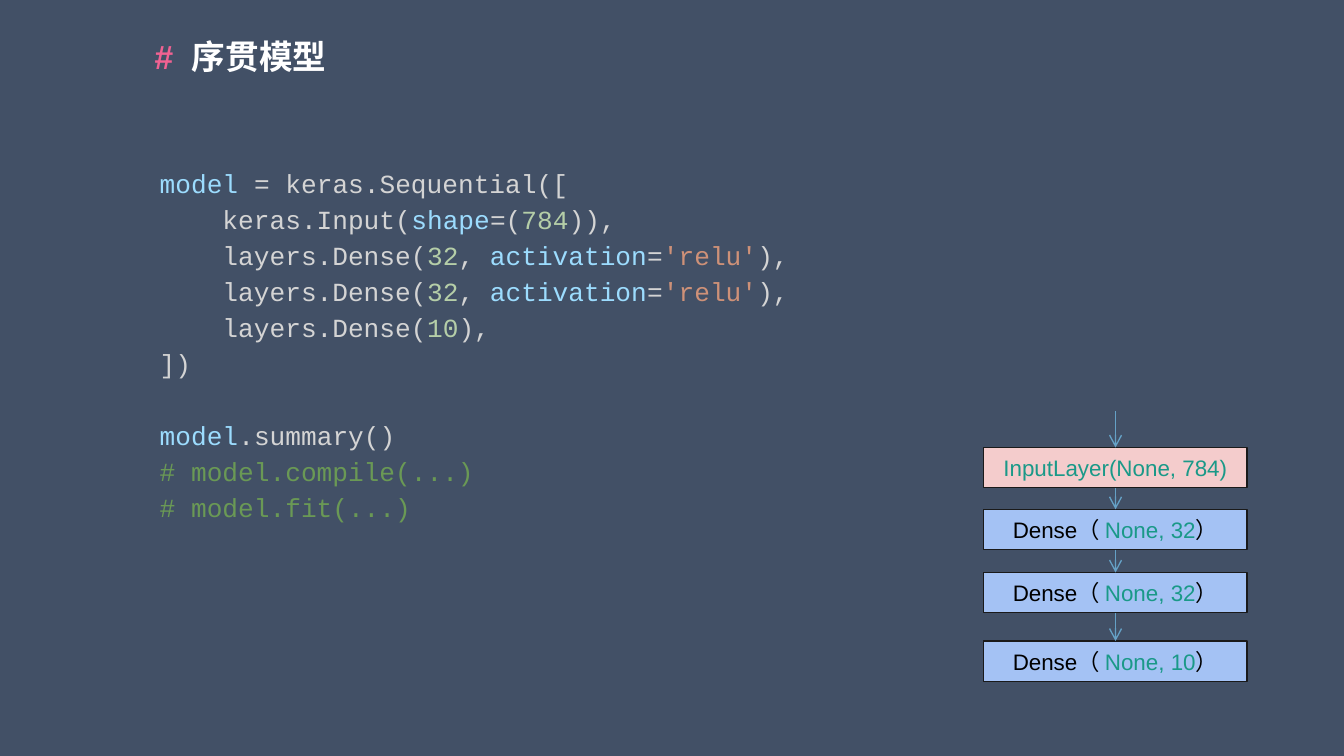
import dataclasses
import typing

import lxml.etree
import pptx
import pptx.dml.color
import pptx.enum.shapes
import pptx.enum.text
import pptx.oxml.ns
import pptx.util

PX = 9144  # EMU in one px, 100 px to the inch
WIDE = 1000 * PX
HIGH = WIDE * 9 // 16


@dataclasses.dataclass(frozen=True)
class Theme:
    back: str = "425066"
    mark: str = "F06292"
    white: str = "FFFFFF"
    black: str = "000000"
    plain: str = "D4D4D4"
    name: str = "9CDCFE"
    number: str = "B5CEA8"
    string: str = "CE9178"
    comment: str = "6A9955"
    size: str = "1A9988"
    input: str = "F4CCCC"
    dense: str = "A4C2F4"
    edge: str = "1A1A1A"
    arrow: str = "65A1C6"
    sans: str = "Arial"
    mono: str = "Courier New"
    title_pt: int = 18
    code_pt: int = 14
    label_pt: int = 12
    line_pt: float = 0.75


class Run(typing.NamedTuple):
    text: str
    color: str


class Box(typing.NamedTuple):
    left: int
    top: int
    width: int
    height: int


class Layer(typing.NamedTuple):
    top: int
    fill: str
    runs: list[Run]


THEME = Theme()


def dense(top: int, units: int) -> Layer:
    return Layer(top, THEME.dense, [
        Run("Dense（", THEME.black),
        Run(f" None, {units}", THEME.size),
        Run("）", THEME.black),
    ])


LAYERS = [
    Layer(333, THEME.input, [Run("InputLayer(None, 784)", THEME.size)]),
    dense(379, 32),
    dense(426, 32),
    dense(477, 10),
]

RELU = [
    Run("    layers.Dense(", THEME.plain),
    Run("32", THEME.number),
    Run(", ", THEME.plain),
    Run("activation", THEME.name),
    Run("=", THEME.plain),
    Run("'relu'", THEME.string),
    Run("),", THEME.plain),
]

CODE = [
    [Run("model", THEME.name), Run(" = keras.Sequential([", THEME.plain)],
    [
        Run("    keras.Input(", THEME.plain),
        Run("shape", THEME.name),
        Run("=(", THEME.plain),
        Run("784", THEME.number),
        Run(")),", THEME.plain),
    ],
    RELU,
    RELU,
    [
        Run("    layers.Dense(", THEME.plain),
        Run("10", THEME.number),
        Run("),", THEME.plain),
    ],
    [Run("])", THEME.plain)],
    [Run("\n", THEME.plain), Run("model", THEME.name),
     Run(".summary()", THEME.plain)],
    [Run("# model.compile(...)", THEME.comment)],
    [Run("# model.fit(...)", THEME.comment)],
]

TITLE = [Run("#  ", THEME.mark), Run("序贯模型", THEME.white)]


def rgb(color: str) -> pptx.dml.color.RGBColor:
    return pptx.dml.color.RGBColor.from_string(color)


def scale(box: Box) -> list[int]:
    return [side * PX for side in box]


def write(para, runs: list[Run], face: str, size: int, bold: bool = False) -> None:
    """Add the runs; a newline run becomes a line break."""
    para.font.name, para.font.size = face, pptx.util.Pt(size)
    for item in runs:
        if item.text == "\n":
            para.add_line_break()
            continue
        run = para.add_run()
        run.text = item.text
        run.font.name = face
        run.font.size = pptx.util.Pt(size)
        run.font.bold = bold
        run.font.color.rgb = rgb(item.color)


def inset(frame, gap: int) -> None:
    frame.word_wrap = True
    frame.margin_left = frame.margin_right = gap * PX
    frame.margin_top = frame.margin_bottom = gap * PX


def add_text(slide, box: Box, gap: int):
    frame = slide.shapes.add_textbox(*scale(box)).text_frame
    inset(frame, gap)
    return frame


def add_code(slide, box: Box) -> None:
    frame = add_text(slide, box, 10)
    for row, runs in enumerate(CODE):
        para = frame.add_paragraph() if row else frame.paragraphs[0]
        para.line_spacing = 1.15
        write(para, runs, THEME.mono, THEME.code_pt)


def add_layer(slide, layer: Layer):
    shape = slide.shapes.add_shape(
        pptx.enum.shapes.MSO_SHAPE.RECTANGLE,
        *scale(Box(732, layer.top, 196, 30)))
    shape.shadow.inherit = False
    shape.fill.solid()
    shape.fill.fore_color.rgb = rgb(layer.fill)
    shape.line.color.rgb = rgb(THEME.edge)
    shape.line.width = pptx.util.Pt(THEME.line_pt)
    frame = shape.text_frame
    inset(frame, 10)
    frame.vertical_anchor = pptx.enum.text.MSO_ANCHOR.MIDDLE
    para = frame.paragraphs[0]
    para.alignment = pptx.enum.text.PP_ALIGN.CENTER
    write(para, layer.runs, THEME.sans, THEME.label_pt)
    return shape


def add_arrow(slide, above, below) -> None:
    """Point at the layer below, from the one above if there is one."""
    mid = below.left + below.width // 2
    line = slide.shapes.add_connector(
        pptx.enum.shapes.MSO_CONNECTOR.STRAIGHT,
        mid, below.top - 27 * PX, mid, below.top)
    if above is not None:
        line.begin_connect(above, 2)
    line.end_connect(below, 0)
    line.line.color.rgb = rgb(THEME.arrow)
    line.line.width = pptx.util.Pt(THEME.line_pt)
    qn = pptx.oxml.ns.qn
    props = line.element.spPr
    lxml.etree.SubElement(props.find(qn("a:ln")), qn("a:tailEnd"), type="arrow")
    lxml.etree.SubElement(props, qn("a:effectLst"))


def main() -> None:
    deck = pptx.Presentation()
    deck.slide_width, deck.slide_height = WIDE, HIGH
    slide = deck.slides.add_slide(deck.slide_layouts[6])
    slide.background.fill.solid()
    slide.background.fill.fore_color.rgb = rgb(THEME.back)

    add_code(slide, Box(109, 111, 832, 324))
    title = add_text(slide, Box(109, 21, 782, 47), 6)
    write(title.paragraphs[0], TITLE, THEME.sans, THEME.title_pt, bold=True)

    boxes = [add_layer(slide, layer) for layer in LAYERS]
    for above, below in zip([None, *boxes], boxes):
        add_arrow(slide, above, below)
    deck.save("out.pptx")


if __name__ == "__main__":
    main()
